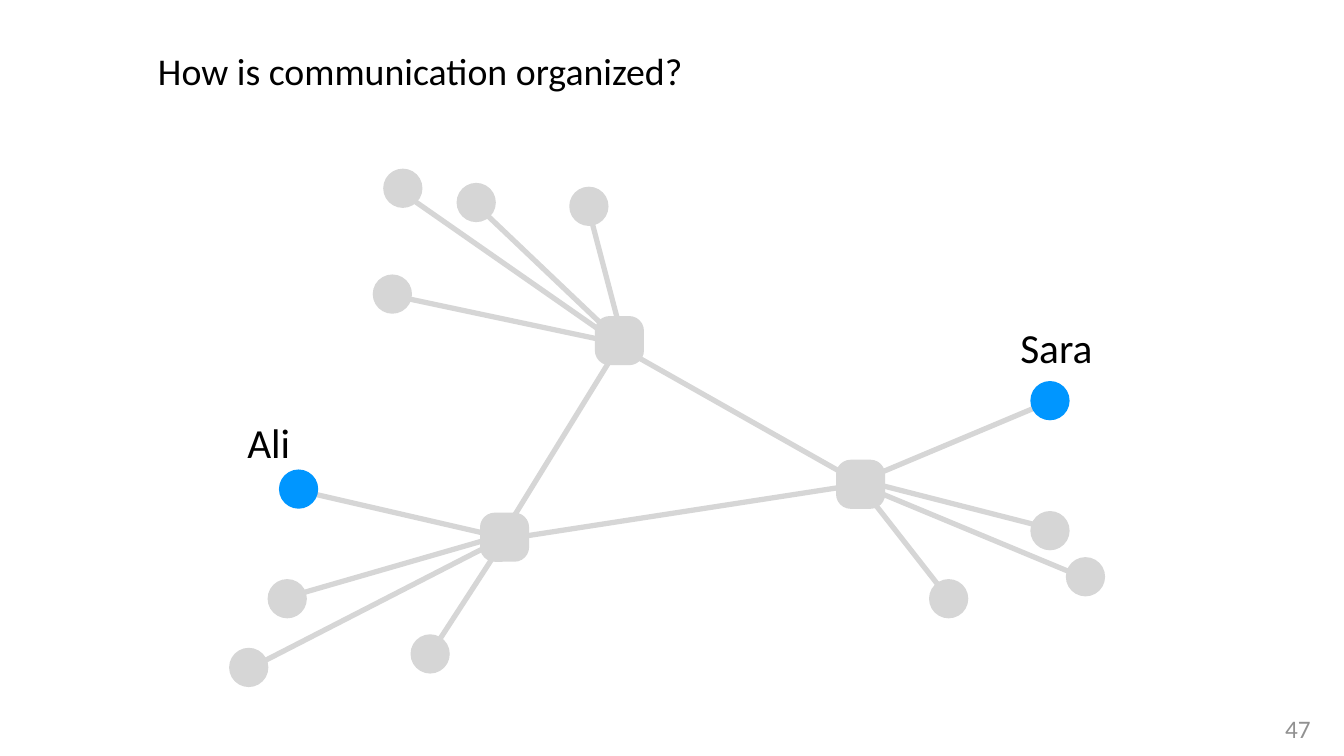
from pptx import Presentation
from pptx.dml.color import RGBColor
from pptx.enum.shapes import MSO_CONNECTOR as Conn, MSO_SHAPE as Kind
from pptx.enum.text import MSO_ANCHOR as Anchor, MSO_AUTO_SIZE as Fit, PP_ALIGN as Align
from pptx.oxml.ns import qn
from pptx.util import Pt
from lxml.etree import SubElement

BLACK = RGBColor(0x00, 0x00, 0x00)
GREY = RGBColor(0xD6, 0xD6, 0xD6)
BLUE = RGBColor(0x00, 0x96, 0xFF)
DIM = RGBColor(0x91, 0x91, 0x91)
FONT = "Calibri"

TITLE = "How is communication organized?"
PAGE = "47"
LABELS = [("Ali", 96.5, 393.1), ("Sara", 846.7, 303.1)]
USERS = [(265.7, 447.1), (981.4, 362.9)]
PEERS = [
    (355, 261.4), (365, 160.6), (434.9, 174.2), (542.2, 177.8),
    (254.9, 551.5), (218.2, 617), (391, 604.1),
    (884.9, 551.5), (981.4, 486.7), (1015.2, 530.6),
]
HUBS = [(566.6, 301), (457.2, 488.2), (796.3, 437.8)]
LINKS = [
    (561.6, 203, 594.7, 329), (374.4, 281.5, 585.4, 326.2),
    (384.5, 184.3, 581.8, 321.8), (453.6, 195.1, 585.4, 320.4),
    (473.8, 515.5, 234, 638.6), (282.2, 466.6, 475.9, 511.2),
    (479.5, 515.5, 412.6, 618.5), (271.4, 569.5, 475.9, 510.5),
    (1035.4, 551.5, 817.2, 460.8), (998.6, 383, 815, 460.1),
    (822.2, 465.8, 902.2, 568.1), (997.2, 502.6, 822.2, 457.9),
    (583.9, 326.9, 820.8, 460.8), (591.1, 326.9, 480.2, 506.9),
    (822.2, 460.8, 481.7, 513.4),
]
DOT, HUB = 37.4, 46.8


def write(box, text, size, color, align, inset, wrap=True, left=None):
    frame = box.text_frame
    form = {
        "auto_size": Fit.NONE, "word_wrap": wrap, "vertical_anchor": Anchor.MIDDLE,
        "margin_left": Pt(inset if left is None else left), "margin_right": Pt(inset),
        "margin_top": Pt(inset), "margin_bottom": Pt(inset),
    }
    for key, value in form.items():
        setattr(frame, key, value)
    para = frame.paragraphs[0]
    para.alignment = align
    run = para.add_run()
    run.text = text
    for key, value in {"name": FONT, "size": Pt(size)}.items():
        setattr(run.font, key, value)
    run.font.color.rgb = color


def link(shapes, ends):
    line = shapes.add_connector(Conn.STRAIGHT, *map(Pt, ends))
    line.line.color.rgb = GREY
    line.line.width = Pt(5)
    SubElement(line._element.spPr, qn("a:effectLst"))


def node(shapes, kind, spot, size, color):
    shape = shapes.add_shape(kind, *map(Pt, (*spot, size, size)))
    shape.shadow.inherit = False
    shape.fill.solid()
    shape.fill.fore_color.rgb = color
    shape.line.fill.background()
    return shape


def main():
    deck = Presentation()
    deck.slide_width, deck.slide_height = Pt(1280.16), Pt(720)
    slide = deck.slides.add_slide(deck.slide_layouts[5])
    shapes = slide.shapes

    title = shapes.title
    place = {"left": 125.3, "top": 0, "width": 1030.3, "height": 133.2}
    for key, value in place.items():
        setattr(title, key, Pt(value))
    write(title, TITLE, 36, BLACK, Align.LEFT, 0, left=25.2)

    for ends in LINKS:
        link(shapes, ends)
    for spots, color in ((PEERS, GREY), (USERS, BLUE)):
        for spot in spots:
            node(shapes, Kind.OVAL, spot, DOT, color)
    for spot in HUBS:
        node(shapes, Kind.ROUNDED_RECTANGLE, spot, HUB, GREY).adjustments[0] = 0.3

    for name, x, y in LABELS:
        box = shapes.add_textbox(Pt(x), Pt(y), Pt(319), Pt(55.4))
        write(box, name, 39.4, BLACK, Align.CENTER, 3.6)
    page = shapes.add_textbox(Pt(1219.7), Pt(676.1), Pt(33.1), Pt(36))
    write(page, PAGE, 24, DIM, Align.CENTER, 0, wrap=False)

    deck.save("out.pptx")


if __name__ == "__main__":
    main()
